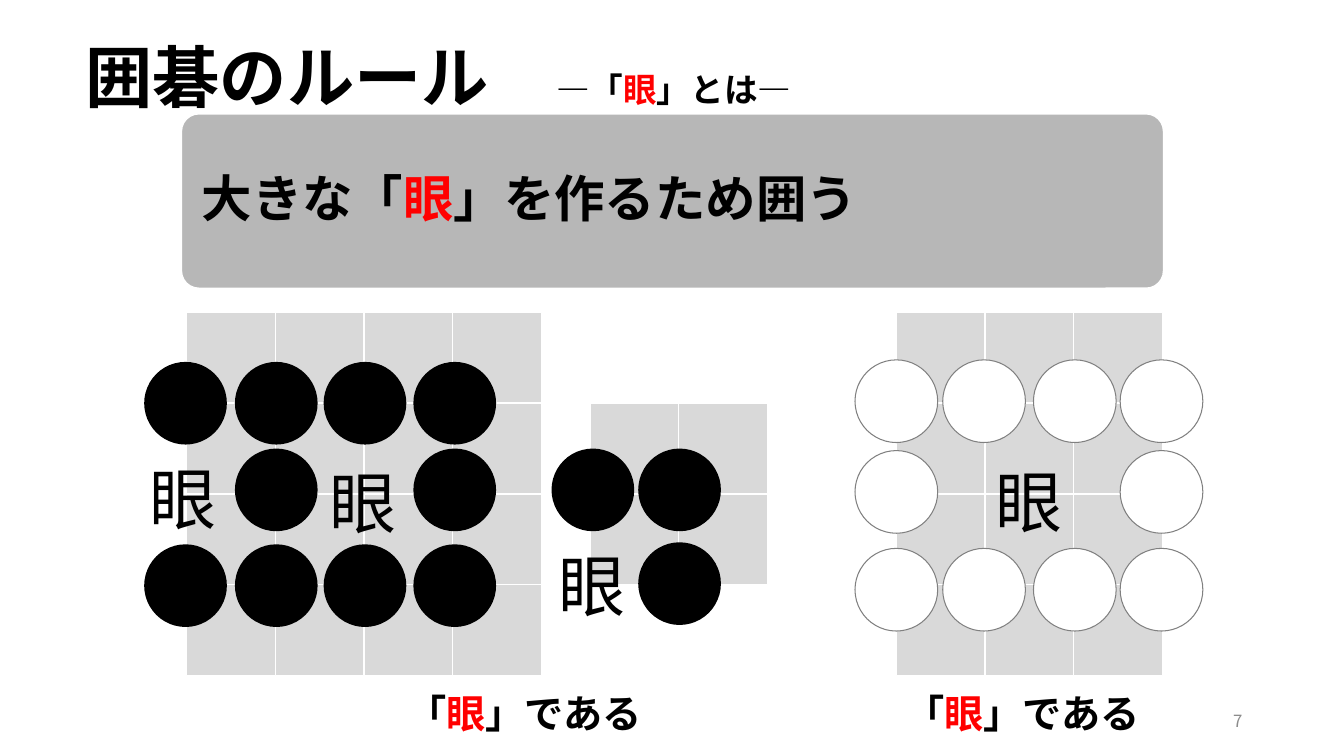
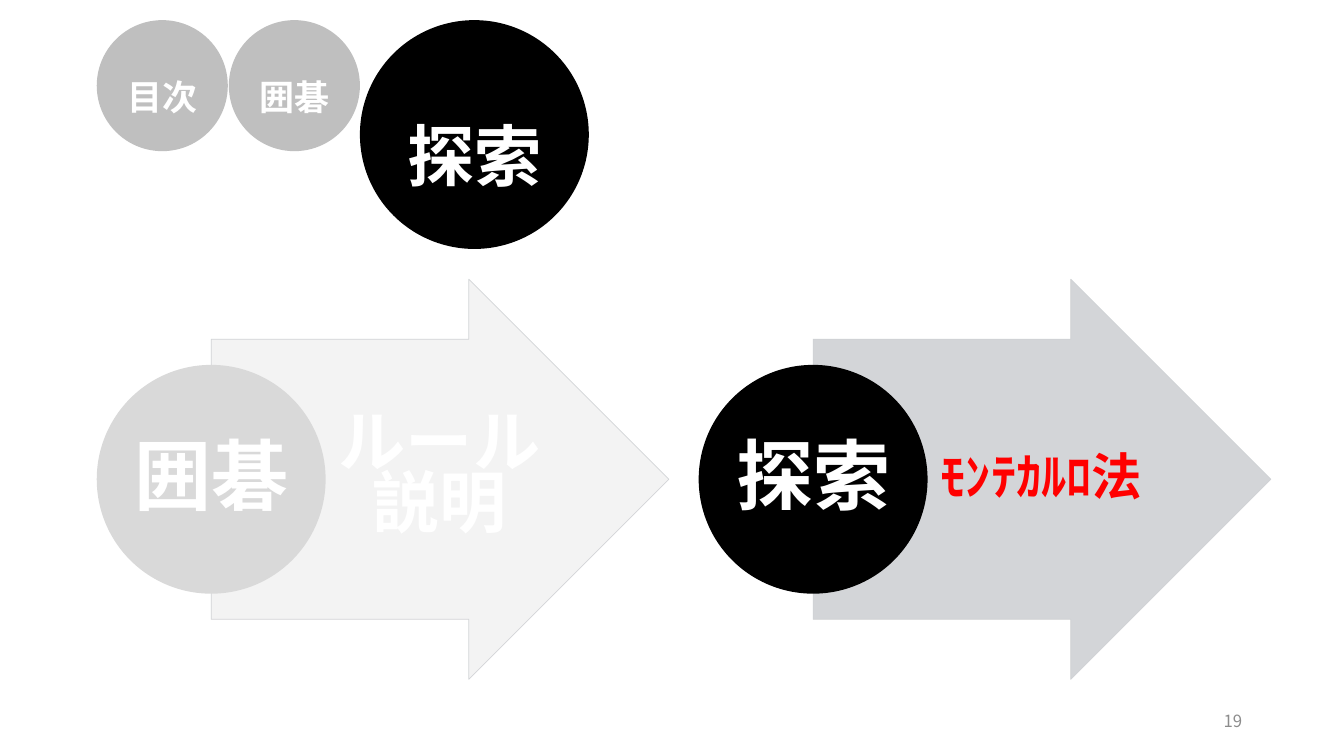
from dataclasses import dataclass
from typing import NamedTuple, Optional

from lxml.etree import SubElement
from pptx import Presentation
from pptx.dml.color import RGBColor
from pptx.enum.shapes import MSO_SHAPE as SHAPE
from pptx.enum.text import MSO_ANCHOR as ANCHOR, PP_ALIGN as ALIGN
from pptx.oxml.ns import qn
from pptx.util import Inches, Pt


@dataclass(frozen=True)
class Theme:
    font: str = "Noto Sans CJK JP"
    black: str = "000000"
    white: str = "FFFFFF"
    red: str = "FF0000"
    banner: str = "B7B7B7"
    board: str = "D9D9D9"
    stone_edge: str = "808080"
    nav_done: str = "BFBFBF"
    arrow: str = "CFD1D4"
    arrow_done: str = "F2F2F2"
    number: str = "8C8C8C"
    title: int = 48
    subtitle: int = 24
    message: int = 36
    caption: int = 28
    topic: int = 55
    nav: int = 25
    footer: int = 12


T = Theme()
CELL_W, CELL_H = 0.88, 0.9
STONE = 0.82
CIRCLE, NAV_CIRCLE = 2.27, 1.3


class Box(NamedTuple):
    left: float
    top: float
    width: float
    height: float


class Run(NamedTuple):
    text: str
    size: int
    color: str = T.black
    bold: bool = True


class Board(NamedTuple):
    left: float
    top: float
    cols: int
    rows: int


class Stones(NamedTuple):
    """Stones stand where the pattern has an O."""
    fill: str
    edge: Optional[str]
    xs: tuple[float, ...]
    ys: tuple[float, ...]
    pattern: tuple[str, ...]


class Step(NamedTuple):
    left: float
    topic: str
    topic_fill: str
    arrow_fill: str
    detail: Run
    spacing: float


class NavItem(NamedTuple):
    left: float
    diameter: float
    run: Run
    fill: str


BOARDS = (Board(8.89, 3.1, 3, 4), Board(1.85, 3.1, 4, 4), Board(5.85, 4, 2, 2))

STONE_GROUPS = (
    Stones(T.white, T.stone_edge, (8.48, 9.35, 10.25, 11.11), (3.57, 4.47, 5.44),
           ("OOOO", "O..O", "OOOO")),
    Stones(T.black, None, (1.43, 2.33, 3.21, 4.1), (3.59, 4.45, 5.4),
           ("OOOO", ".O.O", "OOOO")),
    Stones(T.black, None, (5.47, 6.33), (4.45, 5.38), ("OO", ".O")),
)

EYES = ((9.78, 4.52), (3.17, 4.53), (5.44, 5.35), (1.38, 4.49))
CAPTION_LEFTS = (3.94, 8.88)

STEPS = (
    Step(0.96, "囲碁", T.board, T.arrow_done, Run("ルール説明", T.title, T.white), 0.75),
    Step(6.93, "探索", T.black, T.arrow, Run("ﾓﾝﾃｶﾙﾛ法", T.message, T.red), 0.9),
)

NAV = (
    NavItem(0.96, NAV_CIRCLE, Run("目次", T.nav, T.white), T.nav_done),
    NavItem(2.27, NAV_CIRCLE, Run("囲碁", T.nav, T.white), T.nav_done),
    NavItem(3.57, CIRCLE, Run("探索", T.title, T.white), T.black),
)


def write(sp, runs, align=ALIGN.LEFT, spacing=1.0, **frame):
    """Fill the shape with one paragraph; frame holds text frame attributes."""
    tf = sp.text_frame
    for name, value in ({"word_wrap": True} | frame).items():
        setattr(tf, name, value)
    p = tf.paragraphs[0]
    p.alignment, p.line_spacing = align, spacing
    for run in runs:
        r = p.add_run()
        r.text = run.text
        fmt = {"size": Pt(run.size), "bold": run.bold, "name": T.font}
        for name, value in fmt.items():
            setattr(r.font, name, value)
        r.font.color.rgb = RGBColor.from_string(run.color)
        SubElement(r.font._element, qn("a:ea"), typeface=T.font)


def insets(left: float, top: float, right: float, bottom: float) -> dict:
    sides = {"left": left, "top": top, "right": right, "bottom": bottom}
    return {f"margin_{side}": Inches(value) for side, value in sides.items()}


def add_text(s, box: Box, runs, **fmt):
    write(s.shapes.add_textbox(*map(Inches, box)), runs, **fmt)


def add_shape(s, kind, box: Box, fill: str, line: Optional[str] = None,
              width: float = 1):
    sp = s.shapes.add_shape(kind, *map(Inches, box))
    sp.shadow.inherit = False
    sp.fill.solid()
    sp.fill.fore_color.rgb = RGBColor.from_string(fill)
    if line:
        sp.line.color.rgb = RGBColor.from_string(line)
        sp.line.width = Pt(width)
    else:
        sp.line.fill.background()
    return sp


def set_opacity(sp, percent: int):
    for color in sp._element.spPr.iter(qn("a:srgbClr")):
        SubElement(color, qn("a:alpha"), val=str(percent * 1000))


def eye_runs(before: str, after: str, size: int) -> tuple[Run, ...]:
    """A phrase with the word 眼 in red."""
    return Run(before, size), Run("眼", size, T.red), Run(after, size)


def add_page(prs, number: int):
    s = prs.slides.add_slide(prs.slide_layouts[6])
    add_text(s, Box(9.42, 6.95, 3, 0.4),
             [Run(str(number), T.footer, T.number, False)],
             align=ALIGN.RIGHT, vertical_anchor=ANCHOR.MIDDLE)
    return s


def add_board(s, board: Board):
    for row in range(board.rows):
        for col in range(board.cols):
            box = Box(board.left + col * CELL_W, board.top + row * CELL_H,
                      CELL_W, CELL_H)
            add_shape(s, SHAPE.RECTANGLE, box, T.board, T.white)


def add_stones(s, stones: Stones):
    for y, marks in zip(stones.ys, stones.pattern):
        for x, mark in zip(stones.xs, marks):
            if mark == "O":
                add_shape(s, SHAPE.OVAL, Box(x, y, STONE, STONE),
                          stones.fill, stones.edge, 0.75)


def add_disc(s, left: float, top: float, diameter: float, fill: str, run: Run,
             spacing: float):
    sp = add_shape(s, SHAPE.OVAL, Box(left, top, diameter, diameter), fill)
    write(sp, [run], ALIGN.CENTER, spacing, word_wrap=False,
          vertical_anchor=ANCHOR.MIDDLE, **insets(0.04, 0.04, 0.04, 0.04))


def add_step(s, step: Step):
    arrow = add_shape(s, SHAPE.RIGHT_ARROW,
                      Box(step.left + CIRCLE / 2, 2.77, 4.54, 3.97),
                      step.arrow_fill, T.arrow, 0.5)
    arrow.adjustments[0], arrow.adjustments[1] = 0.7, 0.5
    set_opacity(arrow, 90)
    add_text(s, Box(step.left + CIRCLE, 3.36, 2.21, 2.78), [step.detail],
             align=ALIGN.CENTER, spacing=step.spacing,
             vertical_anchor=ANCHOR.MIDDLE, **insets(0.1, 0.03, 0.05, 0.03))
    add_disc(s, step.left, 3.62, CIRCLE, step.topic_fill,
             Run(step.topic, T.topic, T.white), 0.9)


def build_eye_slide(prs):
    s = add_page(prs, 7)
    add_text(s, Box(0.75, 0.25, 11.5, 0.96),
             (Run("囲碁のルール　", T.title), *eye_runs("―「", "」とは―", T.subtitle)),
             spacing=0.9, vertical_anchor=ANCHOR.BOTTOM)
    banner = add_shape(s, SHAPE.ROUNDED_RECTANGLE, Box(1.8, 1.13, 9.74, 1.73),
                       T.banner, T.white)
    banner.adjustments[0] = 0.1
    write(banner, eye_runs("大きな「", "」を作るため囲う", T.message), spacing=0.9,
          vertical_anchor=ANCHOR.MIDDLE, **insets(0.15, 0.15, 0.15, 0.15))
    for board in BOARDS:
        add_board(s, board)
    for stones in STONE_GROUPS:
        add_stones(s, stones)
    for x, y in EYES:
        add_text(s, Box(x, y, 0.88, 0.91), [Run("眼", T.title, bold=False)],
                 word_wrap=False)
    for x in CAPTION_LEFTS:
        add_text(s, Box(x, 6.79, 2.56, 0.57), eye_runs("「", "」である", T.caption),
                 word_wrap=False)


def build_search_slide(prs):
    s = add_page(prs, 19)
    for step in STEPS:
        add_step(s, step)
    for item in NAV:
        add_disc(s, item.left, 0.2, item.diameter, item.fill, item.run, 1.5)


def main():
    prs = Presentation()
    prs.slide_width, prs.slide_height = Inches(13.33), Inches(7.5)
    build_eye_slide(prs)
    build_search_slide(prs)
    prs.save("out.pptx")


if __name__ == "__main__":
    main()
